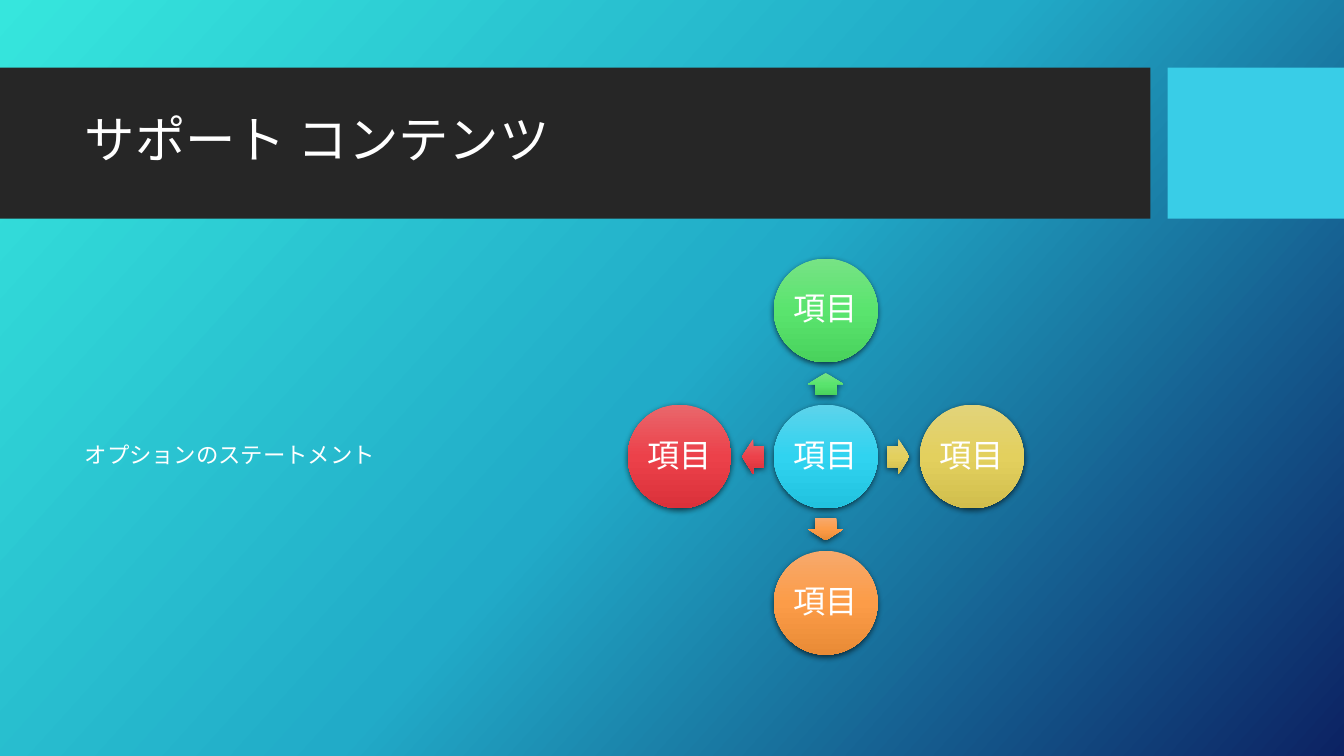
from dataclasses import dataclass

from lxml import etree
from pptx import Presentation
from pptx import util as u
from pptx.dml.color import RGBColor
from pptx.enum import shapes, text
from pptx.oxml import ns, parse_xml

FONT = "Noto Sans CJK JP"
WHITE = "FFFFFF"
BACKGROUND = ("36E6DD", "21ABC8", "0C2263")
CENTER_X, CENTER_Y = 8.19, 4.53
CIRCLE_SIZE = 1.03
ARROW_WIDTH, ARROW_HEIGHT = 0.22, 0.35
CIRCLE_DISTANCE, ARROW_DISTANCE = 1.45, 0.72


@dataclass
class Bar:
    left: float
    width: float
    color: str


@dataclass
class Item:
    """A circle placed dx, dy steps from the hub, with an arrow turned to it."""
    label: str
    dx: int
    dy: int
    turn: int
    colors: tuple[str, str, str]


BARS = [Bar(0, 11.41, "262626"), Bar(11.58, 1.75, "39CDE7")]
HUB = Item("項目", 0, 0, 0, ("5DD3EB", "30D3F0", "21C2DF"))
ITEMS = [
    Item("項目", 0, -1, 270, ("77E385", "5AE46E", "49D25C")),
    Item("項目", 1, 0, 0, ("E2D37A", "E3D05E", "D1BE4D")),
    Item("項目", 0, 1, 90, ("F7A96C", "FC9C48", "E98B36")),
    Item("項目", -1, 0, 180, ("E9676C", "EC414A", "DA313A")),
]


def rgb(color: str) -> RGBColor:
    return RGBColor.from_string(color)


def set_gradient(owner, colors: tuple[str, str, str], angle: int) -> None:
    """Replace the solid fill below owner with an even three-stop gradient."""
    stops = "".join(
        f'<a:gs pos="{index * 50000}"><a:srgbClr val="{color}"/></a:gs>'
        for index, color in enumerate(colors))
    gradient = parse_xml(
        f'<a:gradFill {ns.nsdecls("a")} rotWithShape="0"><a:gsLst>{stops}</a:gsLst>'
        f'<a:lin ang="{angle * 60000}" scaled="0"/></a:gradFill>')
    solid = next(owner.iter(ns.qn("a:solidFill")))
    solid.getparent().replace(solid, gradient)


def add_shadow(shape) -> None:
    shadow = parse_xml(
        f'<a:outerShdw {ns.nsdecls("a")} blurRad="{u.Pt(4.5)}" dist="{u.Pt(1.5)}" '
        'dir="5400000" algn="ctr" rotWithShape="0"><a:srgbClr val="000000">'
        '<a:alpha val="63000"/></a:srgbClr></a:outerShdw>')
    shape._element.spPr.find(ns.qn("a:effectLst")).append(shadow)


def add_plain_shape(page, kind, left: float, top: float, width: float,
                    height: float, color: str):
    shape = page.shapes.add_shape(
        kind, u.Inches(left), u.Inches(top), u.Inches(width), u.Inches(height))
    shape.shadow.inherit = False
    shape.fill.solid()
    shape.fill.fore_color.rgb = rgb(color)
    shape.line.fill.background()
    return shape


def add_glossy_shape(page, kind, x: float, y: float, width: float, height: float,
                     colors: tuple[str, str, str]):
    """Add a shaded shape with a shadow, centred on x, y."""
    shape = add_plain_shape(
        page, kind, x - width / 2, y - height / 2, width, height, colors[1])
    set_gradient(shape._element.spPr, colors, 90)
    add_shadow(shape)
    return shape


def write(shape, words: str, size: int, align, space_before: int = 0) -> None:
    frame = shape.text_frame
    frame.word_wrap = True
    frame.auto_size = text.MSO_AUTO_SIZE.NONE
    frame.vertical_anchor = text.MSO_ANCHOR.MIDDLE
    frame.text = words
    para = frame.paragraphs[0]
    para.alignment = align
    para.line_spacing = 0.9
    para.space_before = u.Pt(space_before)
    para.font.size = u.Pt(size)
    para.font.bold = False
    para.font.color.rgb = rgb(WHITE)
    para.font.name = FONT
    properties = para._p.pPr.find(ns.qn("a:defRPr"))
    etree.SubElement(properties, ns.qn("a:ea"), typeface=FONT)


def place(box, left: float, top: float, width: float, height: float) -> None:
    box.left, box.top = u.Inches(left), u.Inches(top)
    box.width, box.height = u.Inches(width), u.Inches(height)


def add_circle(page, item: Item) -> None:
    circle = add_glossy_shape(
        page, shapes.MSO_SHAPE.OVAL, CENTER_X + item.dx * CIRCLE_DISTANCE,
        CENTER_Y + item.dy * CIRCLE_DISTANCE, CIRCLE_SIZE, CIRCLE_SIZE, item.colors)
    frame = circle.text_frame
    frame.margin_left = frame.margin_right = u.Inches(0.03)
    frame.margin_top = frame.margin_bottom = u.Inches(0.03)
    write(circle, item.label, 23, text.PP_ALIGN.CENTER)


def add_arrow(page, item: Item) -> None:
    arrow = add_glossy_shape(
        page, shapes.MSO_SHAPE.RIGHT_ARROW, CENTER_X + item.dx * ARROW_DISTANCE,
        CENTER_Y + item.dy * ARROW_DISTANCE, ARROW_WIDTH, ARROW_HEIGHT, item.colors)
    arrow.adjustments[0] = 0.6
    arrow.adjustments[1] = 0.5
    arrow.rotation = item.turn


def main() -> None:
    deck = Presentation()
    deck.slide_width, deck.slide_height = u.Inches(13.33), u.Inches(7.5)
    page = deck.slides.add_slide(deck.slide_layouts.get_by_name("Section Header"))
    page.background.fill.solid()
    set_gradient(page._element.cSld, BACKGROUND, 42)

    title, body = page.placeholders
    for bar in BARS:
        shape = add_plain_shape(page, shapes.MSO_SHAPE.RECTANGLE,
                                bar.left, 0.67, bar.width, 1.5, bar.color)
        title._element.addprevious(shape._element)

    place(title, 0.74, 0.82, 10.51, 1.18)
    write(title, "サポート コンテンツ", 36, text.PP_ALIGN.LEFT)
    place(body, 0.74, 2.56, 4.14, 3.94)
    write(body, "オプションのステートメント", 16, text.PP_ALIGN.LEFT, space_before=10)

    add_circle(page, HUB)
    for item in ITEMS:
        add_arrow(page, item)
        add_circle(page, item)
    deck.save("out.pptx")


if __name__ == "__main__":
    main()
